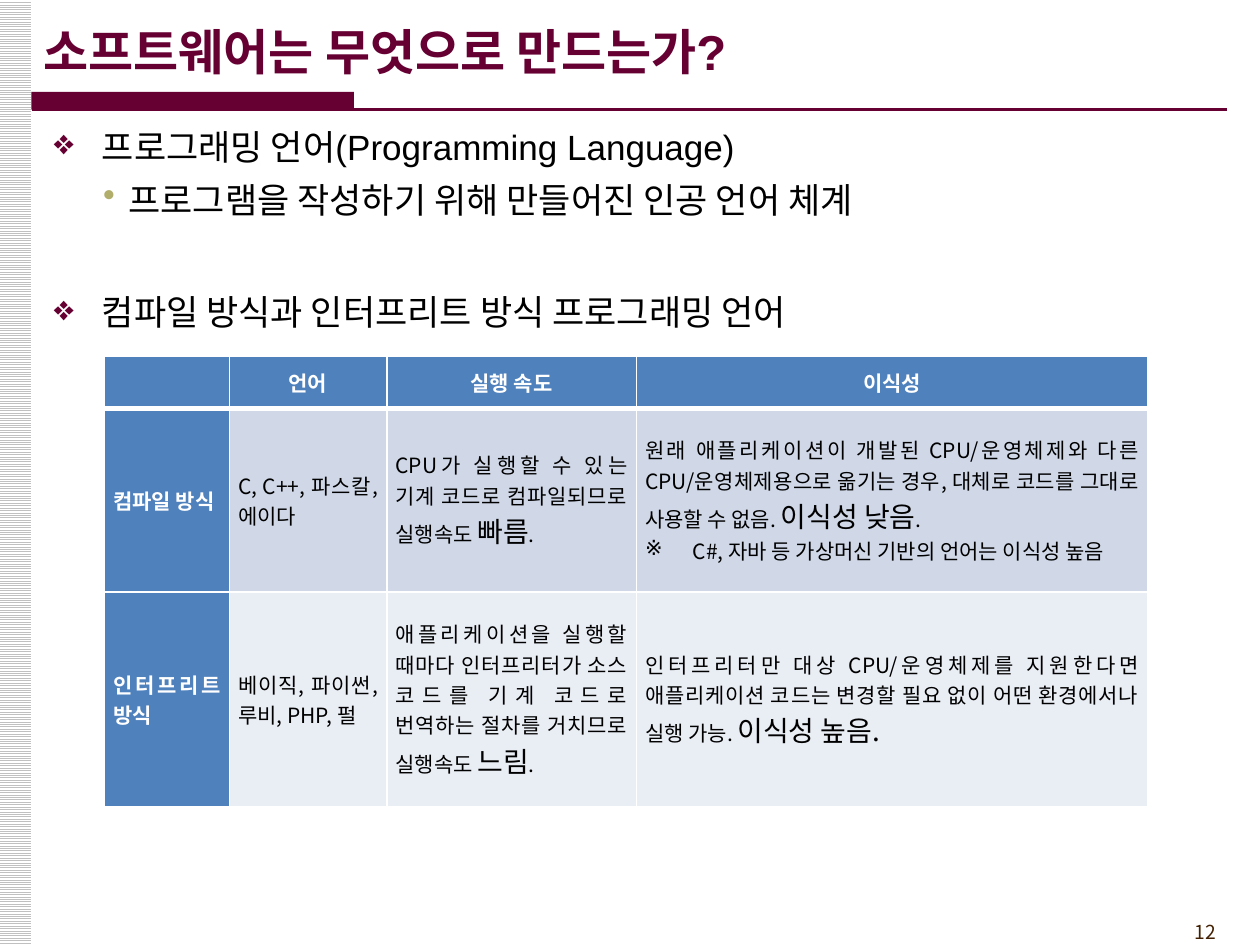
"""Build the slide on programming languages and how they are executed."""
from lxml.etree import SubElement
from pptx import Presentation
from pptx.dml.color import RGBColor
from pptx.enum.dml import MSO_PATTERN
from pptx.enum.shapes import MSO_CONNECTOR, MSO_SHAPE
from pptx.enum.text import MSO_ANCHOR, PP_ALIGN
from pptx.oxml import parse_xml
from pptx.oxml.ns import nsdecls, qn
from pptx.util import Inches, Pt

MAROON = RGBColor(0x66, 0x00, 0x33)
OLIVE = RGBColor(0xB1, 0xAE, 0x6B)
BROWN = RGBColor(0x45, 0x21, 0x03)
SILVER = RGBColor(0xC0, 0xC0, 0xC0)
BLUE = RGBColor(0x4F, 0x81, 0xBD)
PALE_BLUE = RGBColor(0xD0, 0xD8, 0xE8)
PALEST_BLUE = RGBColor(0xE9, 0xED, 0xF4)
WHITE = RGBColor(0xFF, 0xFF, 0xFF)
BLACK = RGBColor(0x00, 0x00, 0x00)
KOREAN = "Noto Sans CJK KR"


def style_run(run, size, color, bold=False, latin=KOREAN):
    run.font.size = Pt(size)
    run.font.bold = bold
    run.font.color.rgb = color
    run.font.name = latin
    SubElement(run.font._element, qn("a:ea")).set("typeface", KOREAN)


def set_bullet(paragraph, symbol, color, margin, hanging):
    properties = paragraph._p.get_or_add_pPr()
    properties.set("marL", str(Inches(margin)))
    properties.set("indent", str(-Inches(hanging)))
    bullet_color = SubElement(properties, qn("a:buClr"))
    SubElement(bullet_color, qn("a:srgbClr")).set("val", str(color))
    SubElement(properties, qn("a:buChar")).set("char", symbol)


prs = Presentation()
prs.slide_width = Inches(10)
prs.slide_height = Inches(7.5)
slide = prs.slides.add_slide(prs.slide_layouts[6])
shapes = slide.shapes

side_strip = shapes.add_shape(MSO_SHAPE.RECTANGLE, Inches(-0.01), 0, Inches(0.26), Inches(7.5))
side_strip.fill.patterned()
side_strip.fill.pattern = MSO_PATTERN.LIGHT_HORIZONTAL
side_strip.fill.fore_color.rgb = SILVER
side_strip.fill.back_color.rgb = WHITE

title_bar = shapes.add_shape(
    MSO_SHAPE.RECTANGLE, Inches(0.25), Inches(0.73), Inches(2.56), Inches(0.14))
title_bar.fill.solid()
title_bar.fill.fore_color.rgb = MAROON

for decoration in (side_strip, title_bar):
    decoration.line.fill.background()
    decoration.shadow.inherit = False

title_rule = shapes.add_connector(
    MSO_CONNECTOR.STRAIGHT, Inches(0.25), Inches(0.87), Inches(9.74), Inches(0.87))
title_rule.line.color.rgb = MAROON
title_rule.line.width = Pt(1.5)
SubElement(title_rule._element.spPr, qn("a:effectLst"))

page_number = shapes.add_textbox(Inches(8.92), Inches(7.25), Inches(0.83), Inches(0.29)).text_frame
page_number.text = "12"
page_number.vertical_anchor = MSO_ANCHOR.MIDDLE
page_number.paragraphs[0].alignment = PP_ALIGN.RIGHT
style_run(page_number.paragraphs[0].runs[0], 11, BROWN)

title = shapes.add_textbox(Inches(0.25), Inches(0.09), Inches(8.27), Inches(0.63)).text_frame
title.text = "소프트웨어는 무엇으로 만드는가?"
title.word_wrap = True
title.vertical_anchor = MSO_ANCHOR.MIDDLE
style_run(title.paragraphs[0].runs[0], 28, MAROON, bold=True, latin="Arial")

topics = [
    ("프로그래밍 언어(Programming Language)", "Arial", 0, 0, "❖", MAROON, 0.38, 0.38),
    ("프로그램을 작성하기 위해 만들어진 인공 언어 체계", KOREAN, 1, 4, "•", OLIVE, 0.59, 0.2),
    ("컴파일 방식과 인터프리트 방식 프로그래밍 언어", "Arial", 0, 38.5, "❖", MAROON, 0.38, 0.38),
]
body = shapes.add_textbox(Inches(0.33), Inches(0.92), Inches(9.5), Inches(6.25)).text_frame
body.word_wrap = True
body.text = "\n".join(topic[0] for topic in topics)
for paragraph, topic in zip(body.paragraphs, topics):
    wording, latin, level, gap, symbol, color, margin, hanging = topic
    paragraph.level = level
    paragraph.line_spacing = Pt(26)
    paragraph.space_before = Pt(gap)
    set_bullet(paragraph, symbol, color, margin, hanging)
    style_run(paragraph.runs[0], 20, BLACK, latin=latin)

NORMAL, LARGE = 12, 16
comparison = [
    [[], [("언어", NORMAL)], [("실행 속도", NORMAL)], [("이식성", NORMAL)]],
    [
        [("컴파일 방식", NORMAL)],
        [("C, C++, 파스칼, 에이다", NORMAL)],
        [("CPU가 실행할 수 있는 기계 코드로 컴파일되므로 실행속도 ", NORMAL),
         ("빠름", LARGE), (".", NORMAL)],
        [("원래 애플리케이션이 개발된 CPU/운영체제와 다른 CPU/운영체제용으로 옮기는 경우, "
          "대체로 코드를 그대로 사용할 수 없음. ", NORMAL),
         ("이식성 낮음", LARGE), (".", NORMAL)],
    ],
    [
        [("인터프리트 방식", NORMAL)],
        [("베이직, 파이썬, 루비, PHP, 펄", NORMAL)],
        [("애플리케이션을 실행할 때마다 인터프리터가 소스 코드를 기계 코드로 "
          "번역하는 절차를 거치므로 실행속도 ", NORMAL),
         ("느림", LARGE), (".", NORMAL)],
        [("인터프리터만 대상 CPU/운영체제를 지원한다면 애플리케이션 코드는 "
          "변경할 필요 없이 어떤 환경에서나 실행 가능. ", NORMAL),
         ("이식성 높음.", LARGE)],
    ],
]
row_fills = [BLUE, PALE_BLUE, PALEST_BLUE]
table = shapes.add_table(
    3, 4, Inches(0.83), Inches(2.83), Inches(8.28), Inches(3.57)).table
table.horz_banding = False
for column, width in zip(table.columns, (0.99, 1.25, 1.98, 4.06)):
    column.width = Inches(width)
for row, height in zip(table.rows, (0.41, 1.46, 1.7)):
    row.height = Inches(height)

for r, contents in enumerate(comparison):
    for c, pieces in enumerate(contents):
        cell = table.cell(r, c)
        heading = r == 0 or c == 0
        cell.vertical_anchor = MSO_ANCHOR.MIDDLE
        cell.margin_left = cell.margin_right = Inches(0.07)
        cell.margin_top = cell.margin_bottom = 0
        for side in "LRTB":
            thick = (r, side) in ((0, "B"), (1, "T"))
            cell._tc.get_or_add_tcPr().append(parse_xml(
                f'<a:ln{side} {nsdecls("a")} w="{Pt(3 if thick else 1)}"><a:solidFill>'
                f'<a:srgbClr val="{WHITE}"/></a:solidFill></a:ln{side}>'))
        cell.fill.solid()
        cell.fill.fore_color.rgb = BLUE if heading else row_fills[r]
        paragraph = cell.text_frame.paragraphs[0]
        paragraph.alignment = PP_ALIGN.CENTER if r == 0 else PP_ALIGN.JUSTIFY
        for wording, size in pieces:
            run = paragraph.add_run()
            run.text = wording
            style_run(run, size, WHITE if heading else BLACK, bold=heading)

exception = table.cell(1, 3).text_frame.add_paragraph()
exception.text = "C#, 자바 등 가상머신 기반의 언어는 이식성 높음"
exception.alignment = PP_ALIGN.JUSTIFY
set_bullet(exception, "※", BLACK, 0.38, 0.38)
style_run(exception.runs[0], NORMAL, BLACK)

prs.save("out.pptx")
